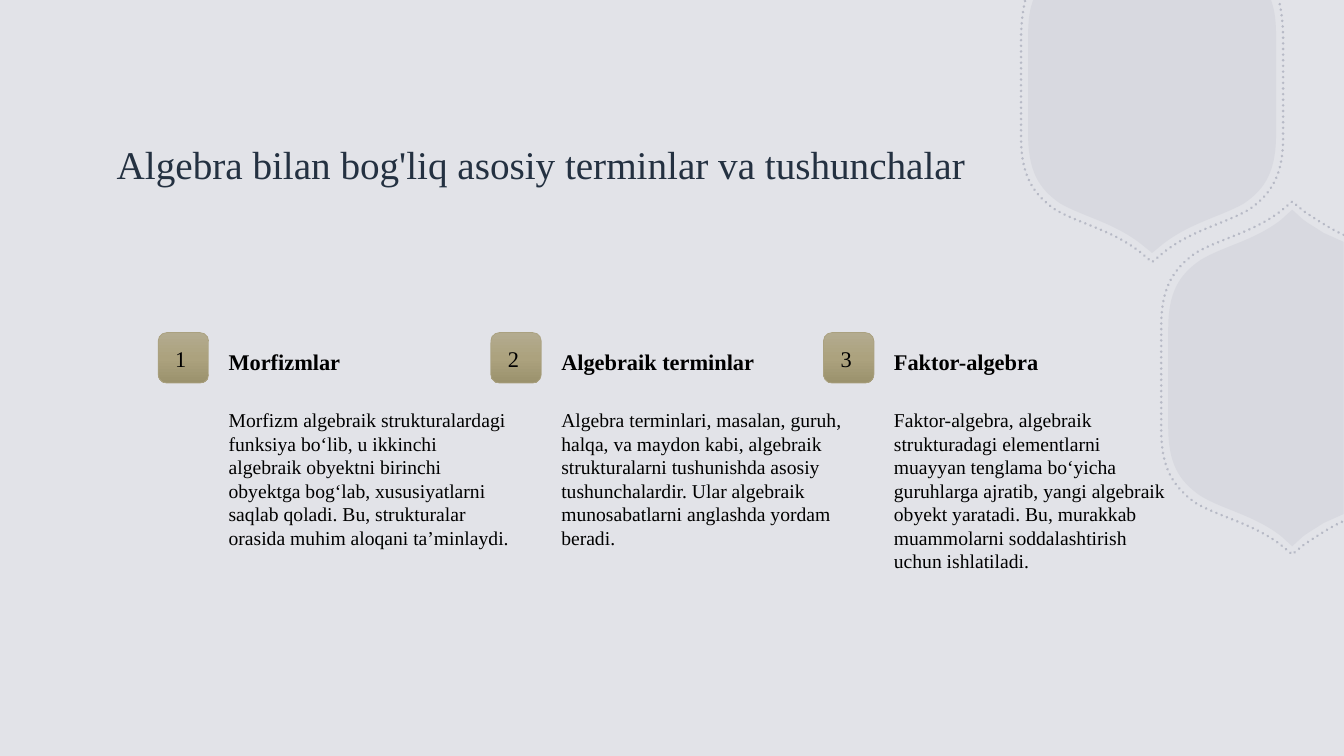
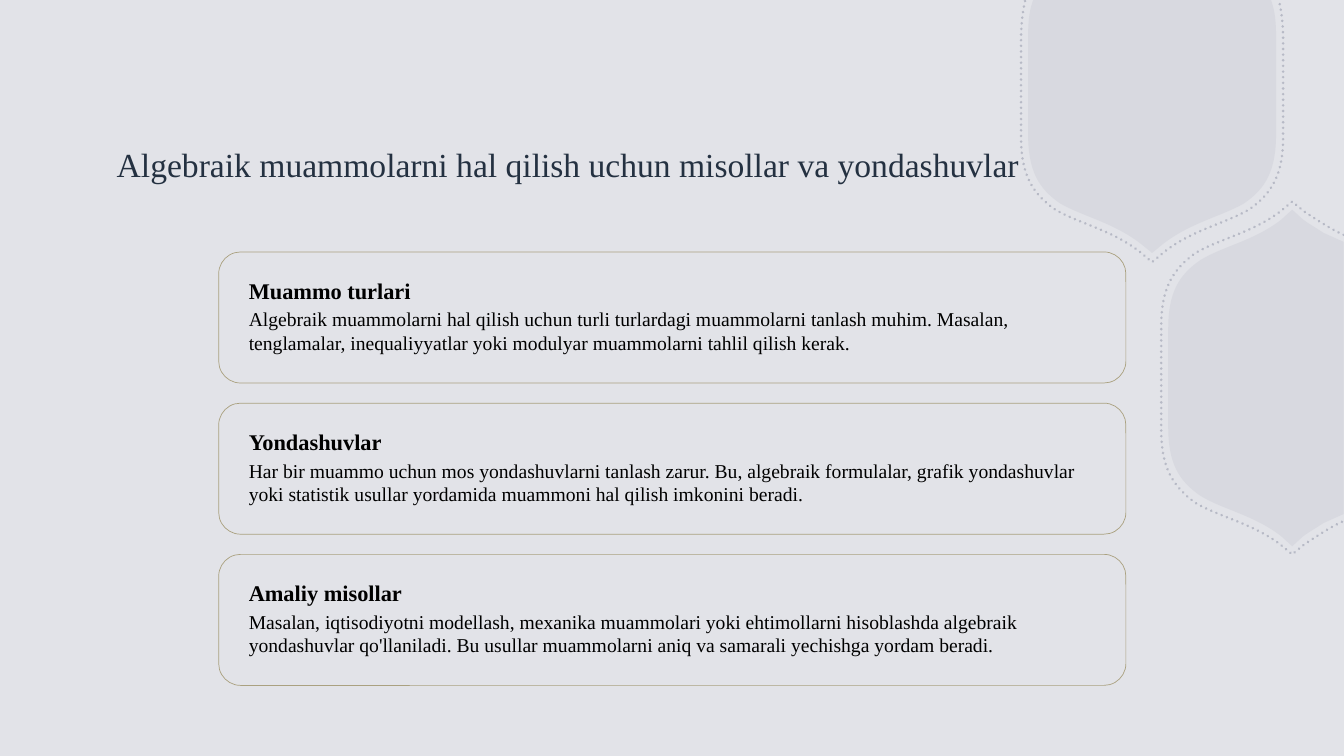
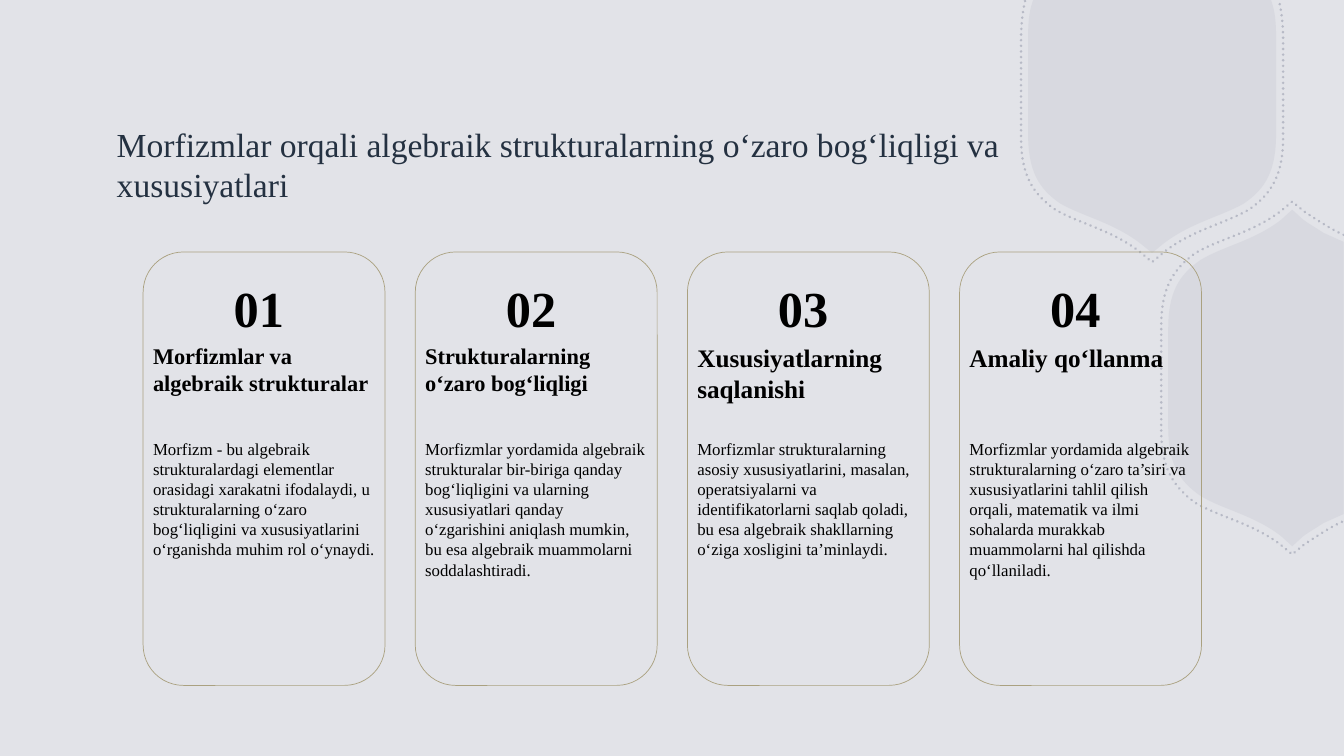
import pptx
import pptx.util
import pptx.dml.color
import pptx.enum.dml
import pptx.enum.shapes
import pptx.enum.text
import pptx.oxml.ns
from lxml import etree

Inches, Pt = pptx.util.Inches, pptx.util.Pt
qn = pptx.oxml.ns.qn
FONT = "Times New Roman"
WIDE, HIGH = 40 / 3, 7.5
COLORS = {
    "back": "E2E3E8", "decor": "A2A5B5", "title": "243141",
    "text": "000000", "edge": "AAA180",
}
BADGE = [(0, "B3AB8F"), (50, "ACA27E"), (100, "9B926D")]

TERMS = ("Algebra bilan bog'liq asosiy terminlar va tushunchalar", 28, [
    ("Morfizmlar", "Morfizm algebraik strukturalardagi funksiya bo‘lib, u ikkinchi algebraik obyektni birinchi obyektga bog‘lab, xususiyatlarni saqlab qoladi. Bu, strukturalar orasida muhim aloqani ta’minlaydi."),
    ("Algebraik terminlar", "Algebra terminlari, masalan, guruh, halqa, va maydon kabi, algebraik strukturalarni tushunishda asosiy tushunchalardir. Ular algebraik munosabatlarni anglashda yordam beradi."),
    ("Faktor-algebra", "Faktor-algebra, algebraik strukturadagi elementlarni muayyan tenglama bo‘yicha guruhlarga ajratib, yangi algebraik obyekt yaratadi. Bu, murakkab muammolarni soddalashtirish uchun ishlatiladi."),
])
METHODS = ("Algebraik muammolarni hal qilish uchun misollar va yondashuvlar", 24, [
    ("Muammo turlari", "Algebraik muammolarni hal qilish uchun turli turlardagi muammolarni tanlash muhim. Masalan, tenglamalar, inequaliyyatlar yoki modulyar muammolarni tahlil qilish kerak."),
    ("Yondashuvlar", "Har bir muammo uchun mos yondashuvlarni tanlash zarur. Bu, algebraik formulalar, grafik yondashuvlar yoki statistik usullar yordamida muammoni hal qilish imkonini beradi."),
    ("Amaliy misollar", "Masalan, iqtisodiyotni modellash, mexanika muammolari yoki ehtimollarni hisoblashda algebraik yondashuvlar qo'llaniladi. Bu usullar muammolarni aniq va samarali yechishga yordam beradi."),
])
LINKS = ("Morfizmlar orqali algebraik strukturalarning o‘zaro bog‘liqligi va xususiyatlari", 24, [
    ("Morfizmlar va algebraik strukturalar", 16, "Morfizm - bu algebraik strukturalardagi elementlar orasidagi xarakatni ifodalaydi, u strukturalarning o‘zaro bog‘liqligini va xususiyatlarini o‘rganishda muhim rol o‘ynaydi."),
    ("Strukturalarning o‘zaro bog‘liqligi", 16, "Morfizmlar yordamida algebraik strukturalar bir-biriga qanday bog‘liqligini va ularning xususiyatlari qanday o‘zgarishini aniqlash mumkin, bu esa algebraik muammolarni soddalashtiradi."),
    ("Xususiyatlarning saqlanishi", 18, "Morfizmlar strukturalarning asosiy xususiyatlarini, masalan, operatsiyalarni va identifikatorlarni saqlab qoladi, bu esa algebraik shakllarning o‘ziga xosligini ta’minlaydi."),
    ("Amaliy qo‘llanma", 18, "Morfizmlar yordamida algebraik strukturalarning o‘zaro ta’siri va xususiyatlarini tahlil qilish orqali, matematik va ilmi sohalarda murakkab muammolarni hal qilishda qo‘llaniladi."),
])

# Half outlines, mirrored across x = MID_X (upper) or y = MID_Y (lower).
# Each has the points on the mirror line, the other points, and the step
# kinds between them: L is a line, C a curve that takes three points.
MID_X, MID_Y = 11.43, 3.75
UPPER_FILL = ([(11.43, 2.51)], [
    (11.54, 2.42), (11.81, 2.21), (12.11, 2.15), (12.34, 2.02),
    (12.56, 1.87), (12.66, 1.69), (12.66, 1.33),
    (12.66, 0.36), (12.66, 0.23), (12.65, 0.12), (12.62, 0.03), (12.61, 0),
], "CCLCL")
LOWER_FILL = ([], [
    (11.59, 4.24), (11.59, 4.59), (11.69, 4.77), (11.91, 4.92),
    (12.14, 5.06), (12.44, 5.11), (12.71, 5.32), (12.82, 5.42),
    (12.93, 5.32), (13, 5.27), (13.07, 5.23), (13.13, 5.19), (13.33, 5.1),
], "CCLLCL")
UPPER_LINE = ([(11.43, 2.6)], [
    (11.55, 2.5), (11.83, 2.28), (12.15, 2.22), (12.39, 2.08),
    (12.62, 1.92), (12.73, 1.73), (12.73, 1.36),
    (12.73, 0.4), (12.73, 0.27), (12.72, 0.14), (12.69, 0.01),
], "CCLC")
LOWER_LINE = ([], [
    (11.52, 4.26), (11.52, 4.64), (11.63, 4.82), (11.86, 4.99),
    (12.1, 5.13), (12.42, 5.19), (12.7, 5.4), (12.82, 5.5),
    (12.94, 5.4), (13.02, 5.35), (13.19, 5.23), (13.33, 5.17),
], "CCLLC")


def rgb(name):
    return pptx.dml.color.RGBColor.from_string(COLORS[name])


def fade(shape, percent):
    """Make the one colour used in a shape partly transparent."""
    for color in shape._element.spPr.iter(qn("a:srgbClr")):
        etree.SubElement(color, qn("a:alpha"), val=str(percent * 1000))


def trace(slide, half, upper, close):
    """Draw a half outline together with its mirror image."""
    mid, points, kinds = half
    if upper:
        twin = [(2 * MID_X - x, y) for x, y in points]
    else:
        twin = [(x, 2 * MID_Y - y) for x, y in points]
    spots = [(Inches(x), Inches(y)) for x, y in twin[::-1] + mid + points]
    pen = slide.shapes.build_freeform(*spots[0])
    pen.add_line_segments(spots[1:], close=close)
    shape = pen.convert_to_shape()
    shape.shadow.inherit = False
    steps = iter(list(shape._element.iter(qn("a:lnTo"))))
    for kind in kinds[::-1] + "L" * (len(mid) + 1) + kinds:
        step = next(steps)
        if kind == "C":
            curve = etree.Element(qn("a:cubicBezTo"))
            step.addprevious(curve)
            for part in (step, next(steps), next(steps)):
                curve.append(part[0])
                part.getparent().remove(part)
    return shape


def decor(slide):
    for half, upper in [(UPPER_FILL, True), (LOWER_FILL, False)]:
        shape = trace(slide, half, upper, True)
        shape.fill.solid()
        shape.fill.fore_color.rgb = rgb("decor")
        shape.line.fill.background()
        fade(shape, 15)
    for half, upper in [(UPPER_LINE, True), (LOWER_LINE, False)]:
        shape = trace(slide, half, upper, False)
        shape.fill.background()
        shape.line.color.rgb = rgb("decor")
        shape.line.width = Pt(2)
        shape.line.dash_style = pptx.enum.dml.MSO_LINE.ROUND_DOT
        shape._element.spPr.find(qn("a:ln")).set("cap", "rnd")
        fade(shape, 65)


def write(slide, text, x, y, w, h, size, bold=False, color="text"):
    box = slide.shapes.add_textbox(Inches(x), Inches(y), Inches(w), Inches(h))
    frame = box.text_frame
    frame.word_wrap = True
    frame.text = text
    font = frame.paragraphs[0].font
    font.name, font.size, font.bold = FONT, Pt(size), bold
    font.color.rgb = rgb(color)
    return frame


def card(slide, x, y, w, h):
    kind = pptx.enum.shapes.MSO_SHAPE.ROUNDED_RECTANGLE
    shape = slide.shapes.add_shape(kind, Inches(x), Inches(y), Inches(w), Inches(h))
    shape.shadow.inherit = False
    shape.fill.background()
    shape.line.color.rgb = rgb("edge")
    shape.line.width = Pt(0.5)
    return shape


def badge(slide, x, y, side):
    shape = card(slide, x, y, side, side)
    shape.fill.gradient()
    shape.fill.gradient_angle = 270
    stops = shape._element.spPr.find(".//" + qn("a:gsLst"))
    stops.clear()
    for place, color in BADGE:
        stop = etree.SubElement(stops, qn("a:gs"), pos=str(place * 1000))
        etree.SubElement(stop, qn("a:srgbClr"), val=color)


def start(deck, title, size):
    slide = deck.slides.add_slide(deck.slide_layouts[6])
    decor(slide)
    frame = write(slide, title, 1.06, 1.05, 9.93, 1.16, size, color="title")
    frame.vertical_anchor = pptx.enum.text.MSO_ANCHOR.MIDDLE
    return slide


def terms(deck):
    title, size, items = TERMS
    slide = start(deck, title, size)
    for i, (head, body) in enumerate(items):
        x = 1.57 + 3.3 * i
        badge(slide, x, 3.3, 0.5)
        write(slide, str(i + 1), x + 0.07, 3.37, 0.35, 0.35, 16)
        write(slide, head, x + 0.6, 3.4, 2.7, 0.3, 16, True)
        write(slide, body, x + 0.6, 4, 3, 2, 14)


def methods(deck):
    title, size, items = METHODS
    slide = start(deck, title, size)
    for i, (head, body) in enumerate(items):
        y = 2.5 + 1.5 * i
        card(slide, 2.17, y, 9, 1.3)
        write(slide, head, 2.37, y + 0.2, 8.6, 0.3, 16, True)
        write(slide, body, 2.37, y + 0.5, 8.6, 0.8, 14)


def links(deck):
    title, size, items = LINKS
    slide = start(deck, title, size)
    for i, (head, points, body) in enumerate(items):
        x = 1.42 + 2.7 * i
        card(slide, x, 2.5, 2.4, 4.3)
        write(slide, f"{i + 1:02}", x + 0.8, 2.7, 2.4, 1, 36, True)
        write(slide, head, x, 3.35, 2.4, 0.5, points, True)
        write(slide, body, x, 4.3, 2.4, 3, 12)


def main():
    deck = pptx.Presentation()
    deck.slide_width, deck.slide_height = Inches(WIDE), Inches(HIGH)
    fill = deck.slide_master.background.fill
    fill.solid()
    fill.fore_color.rgb = rgb("back")
    terms(deck)
    methods(deck)
    links(deck)
    deck.save("out.pptx")


if __name__ == "__main__":
    main()
